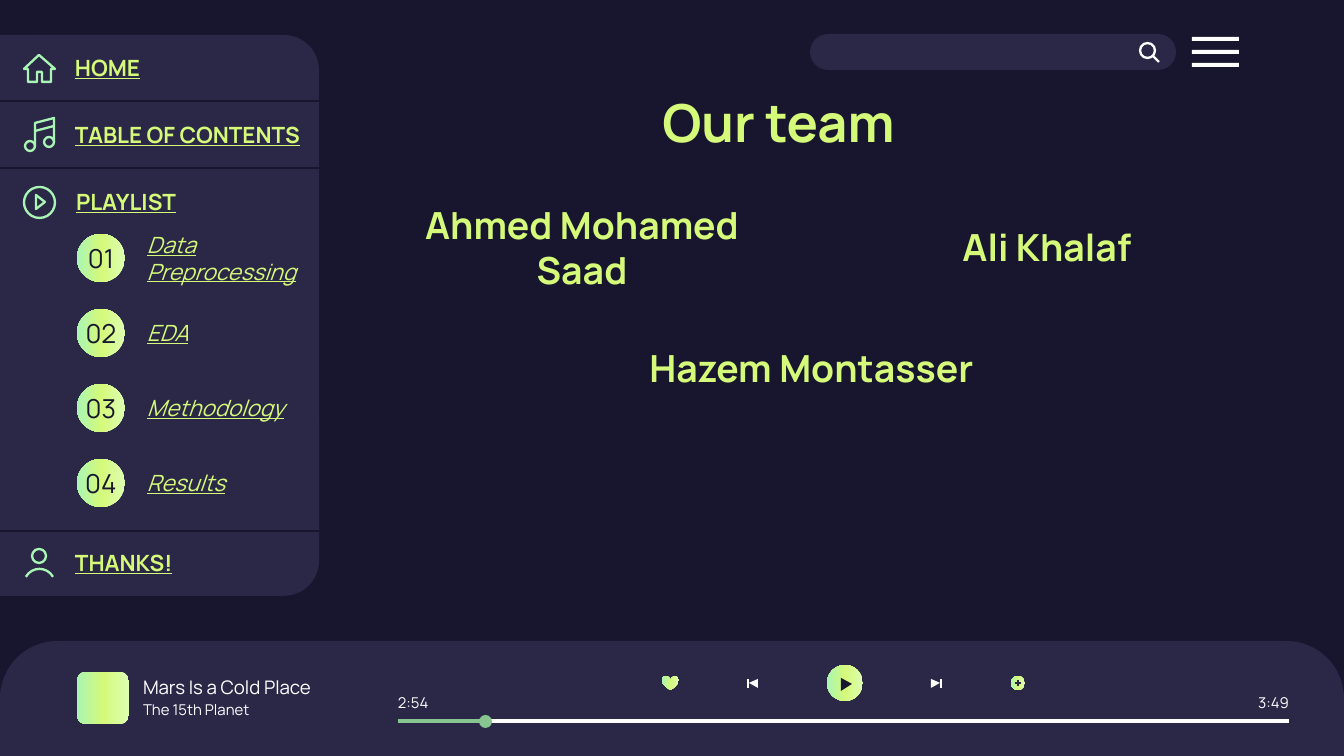
from copy import deepcopy
from dataclasses import dataclass
from typing import Any

from lxml import etree
from pptx import Presentation
from pptx.dml.color import RGBColor
from pptx.enum.shapes import MSO_CONNECTOR, MSO_SHAPE
from pptx.enum.text import MSO_ANCHOR, PP_ALIGN
from pptx.oxml.ns import qn
from pptx.util import Pt

PX = 9144000 / 1344
RECT, ROUND = MSO_SHAPE.RECTANGLE, MSO_SHAPE.ROUNDED_RECTANGLE
ROUND_TOP, OVAL = MSO_SHAPE.ROUND_2_SAME_RECTANGLE, MSO_SHAPE.OVAL
ARC, HEART = MSO_SHAPE.ARC, MSO_SHAPE.HEART
STRAIGHT = MSO_CONNECTOR.STRAIGHT
LEFT, CENTER, RIGHT = PP_ALIGN.LEFT, PP_ALIGN.CENTER, PP_ALIGN.RIGHT
MIDDLE = MSO_ANCHOR.MIDDLE


@dataclass(frozen=True)
class Theme:
    """Colours, font, type sizes and line widths of the deck."""
    night: str = "17162E"
    panel: str = "2A2747"
    lime: str = "D5F979"
    mint: str = "A9F5B4"
    green: str = "88C591"
    white: str = "FFFFFF"
    glow: tuple = ("DDFFB2", "D5F979", "A9F5B4")
    font: str = "Manrope"
    title: int = 28
    name: int = 20
    number: int = 14
    menu: int = 12
    song: int = 10
    small: int = 8
    icon: float = 1.25
    divider: float = 1.5
    track: float = 2.25
    plus: float = 0.75


T = Theme()


def emu(*lengths):
    """Turn px lengths into EMU."""
    return [round(v * PX) for v in lengths]


def rgb(code):
    """Make a colour from its hex code."""
    return RGBColor.from_string(code)


def paint(sp, fill, stroke=None):
    """Give a shape a solid, gradient or empty fill and an optional outline."""
    sp.shadow.inherit = False
    if fill is None:
        sp.fill.background()
    elif isinstance(fill, tuple):
        sp.fill.gradient()
        stops = sp._element.spPr.find(qn("a:gradFill")).find(qn("a:gsLst"))
        stops.insert(1, deepcopy(stops[0]))
        for i, stop in enumerate(sp.fill.gradient_stops):
            stop.color.rgb = rgb(fill[i])
            stop.position = i / 2
        sp.fill.gradient_angle = 180
    else:
        sp.fill.solid()
        sp.fill.fore_color.rgb = rgb(fill)
    if stroke:
        sp.line.color.rgb = rgb(stroke)
        sp.line.width = Pt(T.icon)
    else:
        sp.line.fill.background()


def write(sp, text, size, color, align=LEFT, inset=13, **style):
    """Set one paragraph of middle-anchored text in a shape."""
    tf = sp.text_frame
    tf.word_wrap = True
    tf.vertical_anchor = MIDDLE
    tf.margin_left, tf.margin_right, tf.margin_top, tf.margin_bottom = emu(inset, inset, 13, 13)
    p = tf.paragraphs[0]
    p.text = text
    p.alignment = align
    p.font.name, p.font.size, p.font.color.rgb = T.font, Pt(size), rgb(color)
    for key, value in style.items():
        setattr(p.font, key, value)


@dataclass
class Region:
    """A box on a slide whose parts are placed from its top left corner."""
    s: Any
    x: int
    y: int
    w: int
    h: int

    def shape(self, kind, x, y, w, h, fill, stroke=None, adj=()):
        """Add a preset shape."""
        sp = self.s.shapes.add_shape(kind, *emu(self.x + x, self.y + y, w, h))
        for i, value in enumerate(adj):
            sp.adjustments[i] = value
        paint(sp, fill, stroke)
        return sp

    def text(self, x, y, w, h, *args, **style):
        """Add a text box."""
        sp = self.s.shapes.add_textbox(*emu(self.x + x, self.y + y, w, h))
        write(sp, *args, **style)

    def line(self, x1, y1, x2, y2, color, width):
        """Add a straight line."""
        ends = emu(self.x + x1, self.y + y1, self.x + x2, self.y + y2)
        c = self.s.shapes.add_connector(STRAIGHT, *ends)
        c.line.color.rgb = rgb(color)
        c.line.width = Pt(width)
        etree.SubElement(c._element.spPr, qn("a:effectLst"))

    def outline(self, points, fill, stroke=None, close=True):
        """Add a freeform through the given points."""
        pts = [(self.x + x, self.y + y) for x, y in points]
        builder = self.s.shapes.build_freeform(*pts[0], scale=PX)
        builder.add_line_segments(pts[1:], close=close)
        paint(builder.convert_to_shape(), fill, stroke)


def add_top_bar(r):
    """Draw the search field and the menu button."""
    r.shape(ROUND, 0, 0, 366, r.h, T.panel, adj=(0.5,))
    r.shape(OVAL, 330, 9, 15, 15, None, T.white)
    r.line(343, 22, 349, 28, T.white, T.icon)
    for i in range(3):
        r.shape(RECT, r.w - 47, 3 + 13 * i, 47, 4, T.white)


def add_menu_icons(r):
    """Draw the house, note, play and person icons of the sidebar."""
    house = [(39, 20), (24, 34), (28, 34), (28, 47), (37, 47), (37, 37),
             (42, 37), (42, 47), (51, 47), (51, 34), (55, 34)]
    r.outline(house, None, T.mint)
    r.outline([(35, 111), (35, 88), (54, 83), (54, 107)], None, T.mint, close=False)
    r.line(35, 96, 54, 91, T.mint, T.icon)
    r.outline([(36, 160), (36, 174), (45, 167)], None, T.mint)
    for x, y, d in ((25, 106, 10), (44, 102, 10), (24, 152, 31), (32, 514, 14)):
        r.shape(OVAL, x, y, d, d, None, T.mint)
    r.shape(ARC, 24, 534, 31, 31, None, T.mint, adj=(0.6 * 209, 0.6 * 331))


def add_sidebar(r):
    """Draw the menu panel with its entries and the numbered playlist."""
    r.shape(RECT, 0, 0, r.w // 2, r.h, T.panel)
    r.shape(ROUND, 0, 0, r.w, r.h, T.panel, adj=(0.11,))
    for y in (66, 133, 496):
        r.line(r.w, y, 0, y, T.night, T.divider)
    add_menu_icons(r)
    entries = (("HOME", 62, 33, 280), ("TABLE OF CONTENTS", 62, 100, 280),
               ("PLAYLIST", 63, 167, 175), ("THANKS!", 62, 528, 280))
    for label, x, middle, w in entries:
        r.text(x, middle - 24, w, 48, label, T.menu, T.lime, bold=True, underline=True)
    tracks = (("Data Preprocessing", 195), ("EDA", 163), ("Methodology", 184), ("Results", 163))
    for i, (label, w) in enumerate(tracks):
        y = 199 + 75 * i
        sp = r.shape(OVAL, 77, y, 48, 48, T.glow)
        write(sp, f"{i + 1:02}", T.number, T.night, CENTER, 0)
        r.text(134, y - 11, w, 70, label, T.menu, T.lime, italic=True, underline=True)


def add_team(r):
    """Write the heading and the names of the team."""
    r.text(0, 0, r.w, 85, "Our team", T.title, T.lime, CENTER, bold=True)
    names = (("Ahmed Mohamed Saad", 47, 129, 368, 78), ("Ali Khalaf", 536, 129, 320, 78),
             ("Hazem Montasser", 240, 252, 441, 73))
    for name, *place in names:
        r.text(*place, name, T.name, T.lime, CENTER, bold=True)


def add_skip(r, x, step):
    """Draw a skip button whose arrow starts at x and points along step."""
    tip, end = x + 9 * step, x + 11 * step
    r.outline([(x, 38), (x, 47), (tip, 42)], T.white)
    r.outline([(tip, 38), (tip, 47), (end, 47), (end, 38)], T.white)


def add_player(r):
    """Draw the player with song, controls and progress."""
    r.shape(ROUND_TOP, 0, 0, r.w, r.h, T.panel, adj=(0.5, 0))
    r.shape(ROUND, 77, 31, 52, 52, T.glow, adj=(0.17,))
    r.text(130, 35, 257, 23, "Mars Is a Cold Place", T.song, T.white)
    r.text(130, 57, 155, 23, "The 15th Planet", T.small, T.white)
    r.text(398, 50, 36, 23, "2:54", T.small, T.white, LEFT, 0)
    r.text(1253, 50, 36, 23, "3:49", T.small, T.white, RIGHT, 0)
    r.shape(HEART, 662, 35, 17, 14, T.glow)
    add_skip(r, 758, -1)
    r.shape(OVAL, 827, 24, 36, 36, T.glow)
    r.outline([(841, 37), (841, 50), (852, 43)], T.night)
    add_skip(r, 931, 1)
    r.shape(OVAL, 1011, 35, 14, 14, T.glow)
    r.line(1018, 39, 1018, 45, T.panel, T.plus)
    r.line(1015, 42, 1021, 42, T.panel, T.plus)
    r.line(398, 80, 1289, 80, T.white, T.track)
    r.line(398, 80, 480, 80, T.green, T.track)
    r.shape(OVAL, 479, 74, 13, 13, T.green)


def main():
    """Build and save the slide."""
    prs = Presentation()
    prs.slide_width, prs.slide_height = emu(1344, 756)
    s = prs.slides.add_slide(prs.slide_layouts[6])
    s.background.fill.solid()
    s.background.fill.fore_color.rgb = rgb(T.night)
    add_top_bar(Region(s, 810, 34, 429, 36))
    add_team(Region(s, 351, 79, 855, 325))
    add_sidebar(Region(s, 0, 35, 319, 561))
    add_player(Region(s, 0, 641, 1344, 115))
    prs.save("out.pptx")


if __name__ == "__main__":
    main()
